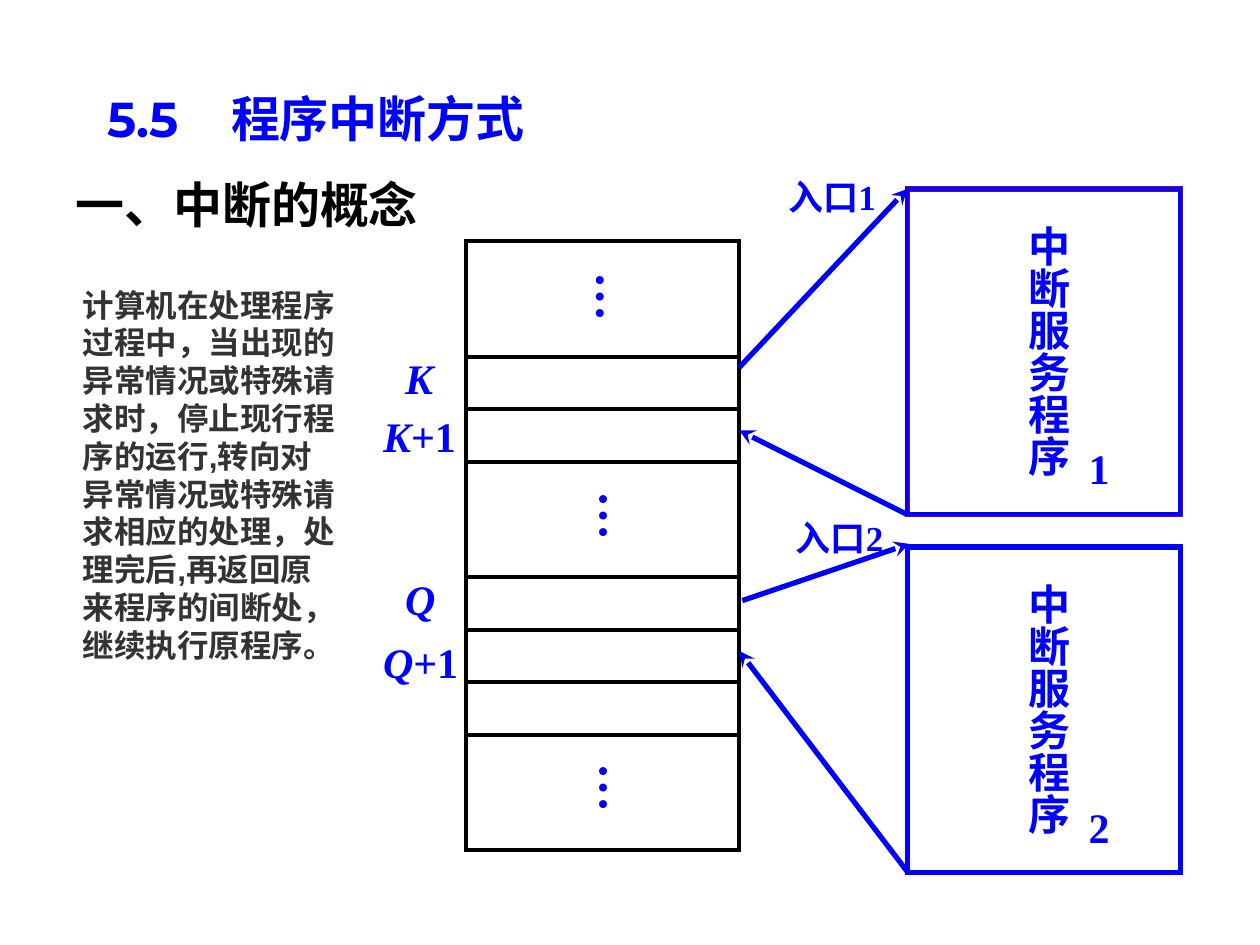
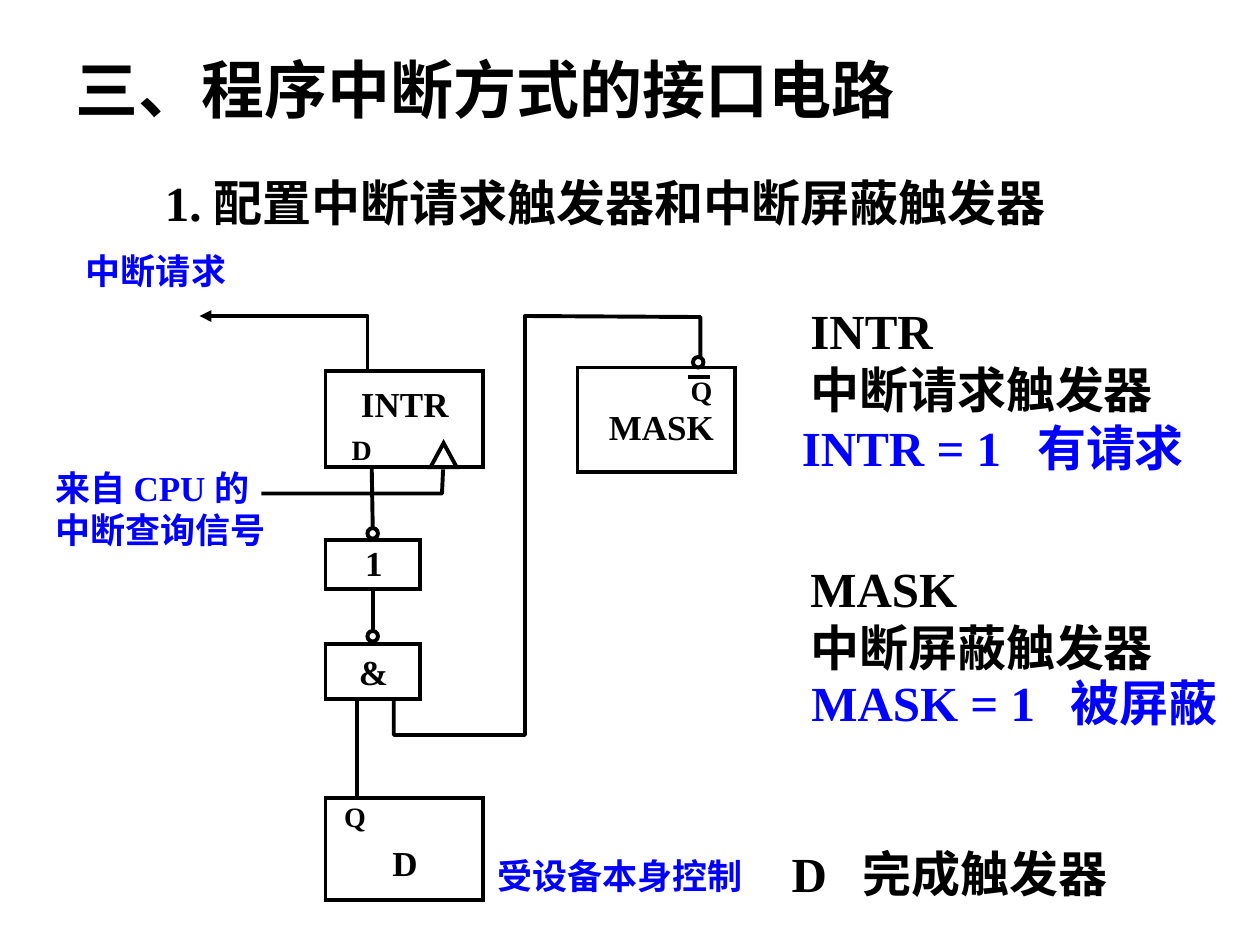
from itertools import accumulate

from lxml import etree
from pptx import Presentation
from pptx import util as u
from pptx.dml.color import RGBColor
from pptx.enum import shapes, text
from pptx.oxml import ns

BLACK, BLUE, PURPLE, GREY = "000000", "0000FF", "800080", "333333"
SERIF, SANS, DISPLAY = "Times New Roman", "Arial", "Montserrat"
COLUMNS, ROWS = 120, 90
TITLE, BODY = 0, 1


def color(value):
    return RGBColor.from_string(value)


def add_element(parent, tag, **attributes):
    return etree.SubElement(parent, ns.qn(tag), attributes)


class Deck:
    """Style, grid and current slide."""

    def __init__(self):
        self.presentation = Presentation()
        self.presentation.slide_width = u.Inches(10)
        self.presentation.slide_height = u.Inches(7.5)
        self.slide = None

    def new_slide(self):
        layout = self.presentation.slide_layouts[1]
        self.slide = self.presentation.slides.add_slide(layout)

    def x(self, column):
        return round(self.presentation.slide_width * column / COLUMNS)

    def y(self, row):
        return round(self.presentation.slide_height * row / ROWS)

    def box(self, left, top, width, height):
        return self.x(left), self.y(top), self.x(width), self.y(height)

    def fill_text(self, shape, content, size, ink, font=SERIF, tab=None, italic="",
                  plain_list=False):
        """Write one paragraph per line; an italic prefix gets its own run."""
        for number, line in enumerate(content.split("\n")):
            frame = shape.text_frame
            paragraph = frame.add_paragraph() if number else frame.paragraphs[0]
            paragraph.alignment = text.PP_ALIGN.LEFT
            paragraph.space_before = u.Pt(0)
            properties = paragraph._p.get_or_add_pPr()
            if plain_list:
                properties.set("marL", "0")
                properties.set("indent", "0")
                add_element(properties, "a:buNone")
            if tab:
                stops = add_element(properties, "a:tabLst")
                add_element(stops, "a:tab", pos=str(self.x(tab)), algn="l")
            if italic:
                run = paragraph.add_run()
                run.text = italic
                run.font.italic = True
            rest = line.removeprefix(italic)
            if rest:
                paragraph.add_run().text = rest
            paragraph.font.size = u.Pt(size)
            paragraph.font.name = font
            paragraph.font.bold = True
            paragraph.font.color.rgb = color(ink)

    def placeholder(self, index, place, content, size, ink=BLACK, font=SERIF,
                    anchor=text.MSO_ANCHOR.TOP, tab=None):
        shape = self.slide.placeholders[index]
        shape.left, shape.top, shape.width, shape.height = self.box(*place)
        shape.text_frame.auto_size = text.MSO_AUTO_SIZE.NONE
        shape.text_frame.vertical_anchor = anchor
        self.fill_text(shape, content, size, ink, font, tab, plain_list=index == BODY)

    def label(self, place, content, size, ink=BLACK, vertical=False, tab=None, italic=""):
        shape = self.slide.shapes.add_textbox(*self.box(*place))
        frame = shape.text_frame
        frame.word_wrap = not vertical
        frame.auto_size = text.MSO_AUTO_SIZE.SHAPE_TO_FIT_TEXT
        if vertical:
            frame.margin_left = frame.margin_right = u.Inches(0.05)
            frame.margin_top = frame.margin_bottom = u.Inches(0.1)
            shape.element.txBody.bodyPr.set("vert", "eaVert")
        self.fill_text(shape, content, size, ink, tab=tab, italic=italic)

    def stroke(self, shape, ink, width, arrow=None):
        shape.line.color.rgb = color(ink)
        shape.line.width = u.Pt(width)
        if arrow:
            add_element(shape.line._get_or_add_ln(), "a:tailEnd", type=arrow)

    def outline(self, place, ink=BLACK, width=2.25, kind=shapes.MSO_SHAPE.RECTANGLE):
        shape = self.slide.shapes.add_shape(kind, *self.box(*place))
        shape.shadow.inherit = False
        shape.fill.background()
        self.stroke(shape, ink, width)
        add_element(shape.line._get_or_add_ln(), "a:miter", lim="800000")
        return shape

    def bubble(self, left, top):
        return self.outline((left, top, 1, 1), kind=shapes.MSO_SHAPE.OVAL)

    def line(self, start, end, ink=BLACK, width=2.25, arrow=None):
        connector = self.slide.shapes.add_connector(
            shapes.MSO_CONNECTOR.STRAIGHT, self.x(start[0]), self.y(start[1]),
            self.x(end[0]), self.y(end[1]))
        self.stroke(connector, ink, width, arrow)
        add_element(connector.element.spPr, "a:effectLst")
        return connector

    def wire(self, points, arrow=None):
        first, *others = [(self.x(column), self.y(row)) for column, row in points]
        builder = self.slide.shapes.build_freeform(*first)
        builder.add_line_segments(others, close=False)
        shape = builder.convert_to_shape()
        shape.shadow.inherit = False
        shape.fill.background()
        self.stroke(shape, BLACK, 2.25, arrow)


def interrupt_concept(deck):
    deck.new_slide()
    deck.placeholder(TITLE, (9, 0, 102, 14.6), "5.5\t程序中断方式", 28, BLUE, DISPLAY,
                     text.MSO_ANCHOR.BOTTOM, tab=11.8)
    deck.label((6, 16, 48.4, 6.8), "一、中断的概念", 28)
    deck.placeholder(BODY, (6.7, 26.6, 27.1, 37.2),
                     "计算机在处理程序过程中，当出现的异常情况或特殊请求时，停止现行程序的运行,"
                     "转向对异常情况或特殊请求相应的处理，处理完后,再返回原来程序的间断处，"
                     "继续执行原程序。", 18, GREY, SANS)

    # Main program in memory
    memory_left, memory_width = 44.4, 26
    heights = [11, 5, 5, 11, 5, 5, 5, 11]
    for top, height in zip(accumulate(heights, initial=23), heights):
        deck.outline((memory_left, top, memory_width, height))
    for left, top in ((54.2, 24.8), (54.5, 45.6), (54.5, 71.5)):
        deck.label((left, top, 7.9, 5.9), "…", 28, BLUE, vertical=True)
    for content, left, top in (("K", 37.4, 33), ("K+1", 35.3, 38.5),
                               ("Q", 37.4, 54), ("Q+1", 35.3, 60)):
        deck.label((left, top, 12, 6), content, 24, BLUE, italic=content[0])

    # Service routines
    service_left = 86.4
    for number, top in (("1", 18), ("2", 52.1)):
        place = (service_left, top, 26, 31)
        if number == "1":
            deck.outline(place, PURPLE, 3)
        deck.outline(place, BLUE, 2.25 if number == "1" else 3)
        deck.label((95.6, top + 2.3, 7.2, 25.2), "中断服务程序", 24, BLUE, vertical=True)
        deck.label((102.5, top + 23.6, 6, 6), number, 24, BLUE)

    # Calls and returns
    memory_right = memory_left + memory_width
    for start, end in (((memory_right, 35), (service_left, 18)),
                       ((service_left, 49), (memory_right, 41)),
                       ((70.7, 57.2), (86.6, 51.8)),
                       ((service_left, 83), (memory_right, 62))):
        deck.line(start, end, BLUE, 3, "stealth")
    deck.label((73.9, 16.1, 14, 5.3), "入口1", 20, BLUE)
    deck.label((74.6, 48.6, 14, 5.3), "入口2", 20, BLUE)


def interface_circuit(deck):
    deck.new_slide()
    deck.placeholder(TITLE, (6, 4.2, 90, 8.4), "三、程序中断方式的接口电路", 36)
    deck.placeholder(BODY, (14.5, 15.8, 95, 6.8), "1. 配置中断请求触发器和中断屏蔽触发器", 28)

    # Flip-flops and gates
    gate_left = 31
    deck.outline((gate_left, 76, 15, 9.7))
    deck.outline((gate_left, 61.3, 9, 5.3))
    inverter = deck.outline((gate_left, 51.4, 9, 4.7))
    deck.outline((gate_left, 35.3, 15, 9.2))
    deck.outline((55, 35, 15, 10))
    deck.outline((41, 42.2, 2.5, 2.3), kind=shapes.MSO_SHAPE.ISOSCELES_TRIANGLE)
    and_bubble = deck.bubble(35, 60.1)
    inverter_bubble = deck.bubble(35, 50.3)
    deck.bubble(66, 34)

    # Names and pins
    for content, left, top in (("D", 36.2, 79.6), ("&", 33, 61.4), ("1", 33.6, 51),
                               ("INTR", 33.2, 35.8), ("MASK", 56.8, 38)):
        deck.label((left, top, 15, 5.3), content, 20)
    for content, left, top in (("Q", 31.6, 75.6), ("D", 32.3, 40.6), ("Q", 64.6, 35)):
        deck.label((left, top, 6, 4.4), content, 16)
    deck.line((65.5, 35.9), (67.6, 35.9))

    # Wiring
    deck.line((34, 66.7), (34, 76))
    deck.line((35.4, 44.5), (35.5, 50.3)).end_connect(inverter_bubble, 0)
    inverter_input = deck.line((35.5, 56.1), (35.5, 60.1))
    inverter_input.begin_connect(inverter, 2)
    inverter_input.end_connect(and_bubble, 0)
    deck.wire([(24.9, 47), (42.1, 47), (42.2, 44.7)])
    deck.wire([(37.5, 66.7), (37.5, 70), (50, 70), (50, 30.1), (66.7, 30.2), (66.7, 34.1)])
    deck.wire([(35, 35.2), (35, 30.1), (19, 30.1)], "triangle")

    # Signals
    deck.label((7, 23.2, 18, 5.3), "中断请求", 20, BLUE)
    deck.label((4.1, 43.8, 26, 9.2), "来自 CPU 的\n中断查询信号", 20, BLUE)
    deck.label((46.2, 80.8, 28, 5.3), "受设备本身控制", 20, BLUE)

    # Explanations
    deck.label((76, 28, 38, 12.5), "INTR\n中断请求触发器", 28)
    deck.label((75.2, 39.2, 44.2, 6.8), "INTR = 1\t有请求", 28, BLUE, tab=22.4)
    deck.label((76, 52.6, 38, 12.5), "MASK\n中断屏蔽触发器", 28)
    deck.label((76.1, 63.5, 43.9, 6.8), "MASK = 1\t被屏蔽", 28, BLUE, tab=24.7)
    deck.label((74.2, 79.7, 38, 6.8), "D\t完成触发器", 28, tab=6.8)


def main():
    deck = Deck()
    interrupt_concept(deck)
    interface_circuit(deck)
    deck.presentation.save("out.pptx")


if __name__ == "__main__":
    main()
